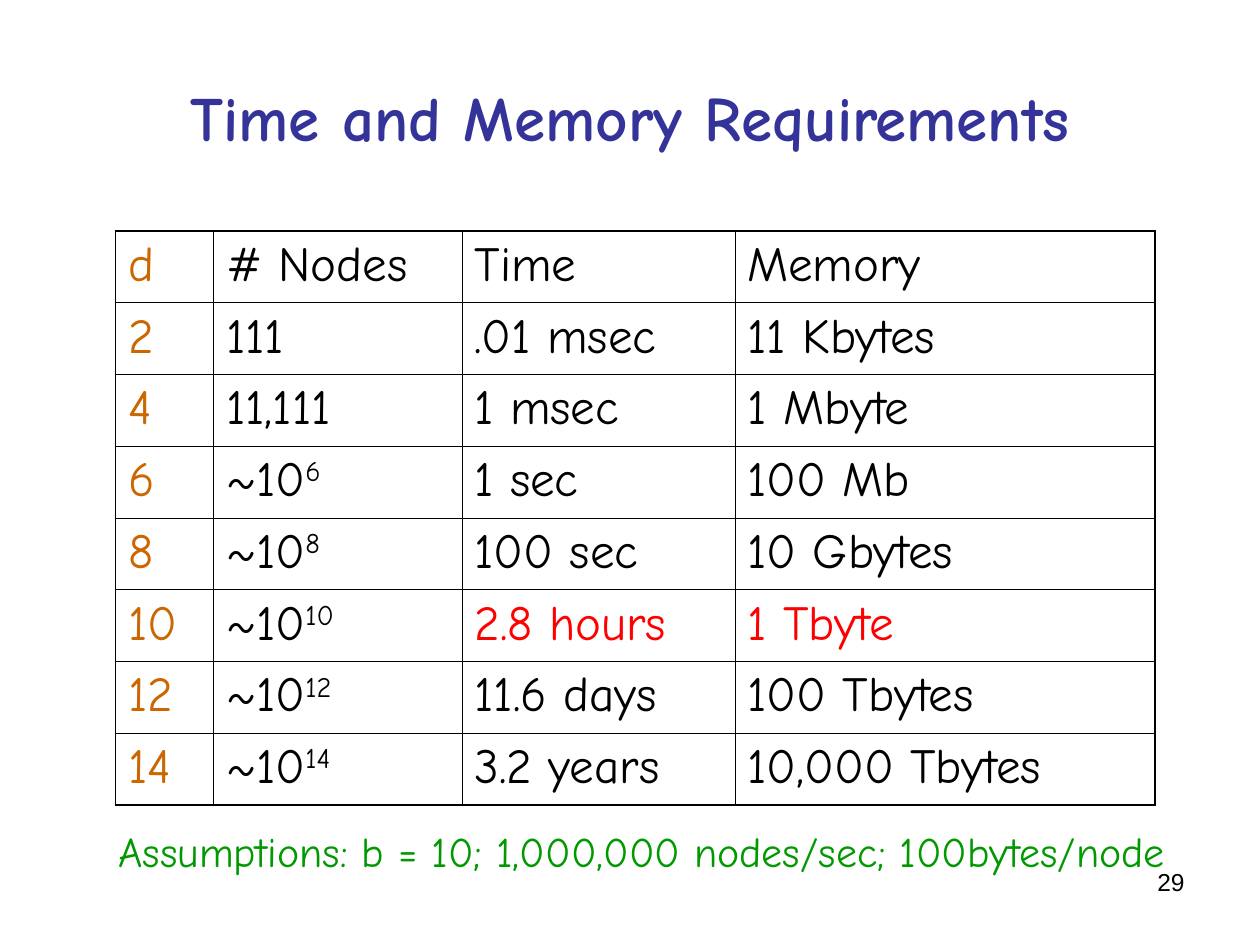
from dataclasses import dataclass

from pptx import Presentation
from pptx.dml.color import RGBColor
from pptx.enum import text
from pptx.oxml import parse_xml
from pptx.oxml import ns
from pptx.util import Pt


@dataclass(frozen=True)
class Theme:
    """Fonts, colours, type sizes and line widths of the slide."""
    hand: str = "Comic Neue"
    sans: str = "Arial"
    title: str = "333399"
    depth: str = "CC6600"
    ink: str = "000000"
    alert: str = "FF0000"
    note: str = "009900"
    title_size: int = 36
    cell_size: int = 28
    note_size: int = 24
    number_size: int = 14
    outer: float = 1.08
    inner: float = 0.45


THEME = Theme()
COLUMNS = (56, 142, 156, 240)
ALERT_DEPTH = "10"
ROWS = (
    ("d", "# Nodes", "Time", "Memory"),
    ("2", "111", ".01 msec", "11 Kbytes"),
    ("4", "11,111", "1 msec", "1 Mbyte"),
    ("6", "~10^6", "1 sec", "100 Mb"),
    ("8", "~10^8", "100 sec", "10 Gbytes"),
    ("10", "~10^10", "2.8 hours", "1 Tbyte"),
    ("12", "~10^12", "11.6 days", "100 Tbytes"),
    ("14", "~10^14", "3.2 years", "10,000 Tbytes"),
)


def style(p, size, color, name=THEME.hand, bold=False):
    """Set the font of a whole paragraph."""
    p.font.size, p.font.name, p.font.bold = Pt(size), name, bold
    p.font.color.rgb = RGBColor.from_string(color)


def place(s, box):
    """Move a shape to a box of left, top, width and height in points."""
    s.left, s.top, s.width, s.height = map(Pt, box)


def border(cell, side, width):
    """Add one border line to a cell."""
    cell._tc.get_or_add_tcPr().append(parse_xml(
        f'<a:ln{side} {ns.nsdecls("a")} w="{Pt(width)}"><a:solidFill>'
        f'<a:srgbClr val="{THEME.ink}"/></a:solidFill></a:ln{side}>'))


def fill_cell(cell, content, color):
    """Write a cell's text, raising whatever follows a caret."""
    base, _, power = content.partition("^")
    p = cell.text_frame.paragraphs[0]
    p.add_run().text = base
    if power:
        r = p.add_run()
        r.text = power
        r.font._element.set("baseline", "30000")
    style(p, THEME.cell_size, color)


def add_title(slide, box):
    """Fill the title placeholder."""
    s = slide.shapes.title
    place(s, box)
    tf = s.text_frame
    tf.text = "Time and Memory Requirements"
    tf.vertical_anchor = text.MSO_ANCHOR.MIDDLE
    p = tf.paragraphs[0]
    p.alignment = text.PP_ALIGN.CENTER
    style(p, THEME.title_size, THEME.title, bold=True)


def add_requirements(slide, box):
    """Add the table of nodes, time and memory for each depth."""
    rows, cols = len(ROWS), len(COLUMNS)
    table = slide.shapes.add_table(rows, cols, *map(Pt, box)).table
    table.first_row = table.horz_banding = False
    for column, width in zip(table.columns, COLUMNS):
        column.width = Pt(width)
    for i, values in enumerate(ROWS):
        table.rows[i].height = Pt(box[3] / rows)
        for j, value in enumerate(values):
            cell = table.cell(i, j)
            edges = {"L": j == 0, "R": j == cols - 1,
                     "T": i == 0, "B": i == rows - 1}
            for side, is_outer in edges.items():
                border(cell, side, THEME.outer if is_outer else THEME.inner)
            cell.fill.background()
            color = THEME.ink
            if j == 0:
                color = THEME.depth
            elif j > 1 and values[0] == ALERT_DEPTH:
                color = THEME.alert
            fill_cell(cell, value, color)


def add_label(slide, box, content, wrap=True):
    """Add a one-line text box and return its paragraph."""
    tf = slide.shapes.add_textbox(*map(Pt, box)).text_frame
    tf.word_wrap = wrap
    p = tf.paragraphs[0]
    p.text = content
    return p


def add_assumptions(slide, box):
    """Add the line of assumptions below the table."""
    p = add_label(
        slide, box,
        "Assumptions: b = 10; 1,000,000 nodes/sec; 100bytes/node", False)
    style(p, THEME.note_size, THEME.note)


def add_number(slide, box):
    """Add the slide number."""
    p = add_label(slide, box, "29")
    p.alignment = text.PP_ALIGN.RIGHT
    style(p, THEME.number_size, THEME.ink, THEME.sans)


def main():
    """Build and save the slide."""
    prs = Presentation()
    prs.slide_width, prs.slide_height = Pt(720), Pt(540)
    slide = prs.slides.add_slide(prs.slide_layouts[5])
    add_title(slide, (36, 21.6, 648, 90))
    add_requirements(slide, (66, 132, sum(COLUMNS), 328))
    add_assumptions(slide, (60.5, 468, 613.5, 36))
    add_number(slide, (516, 492, 168, 37.5))
    prs.save("out.pptx")


if __name__ == "__main__":
    main()
